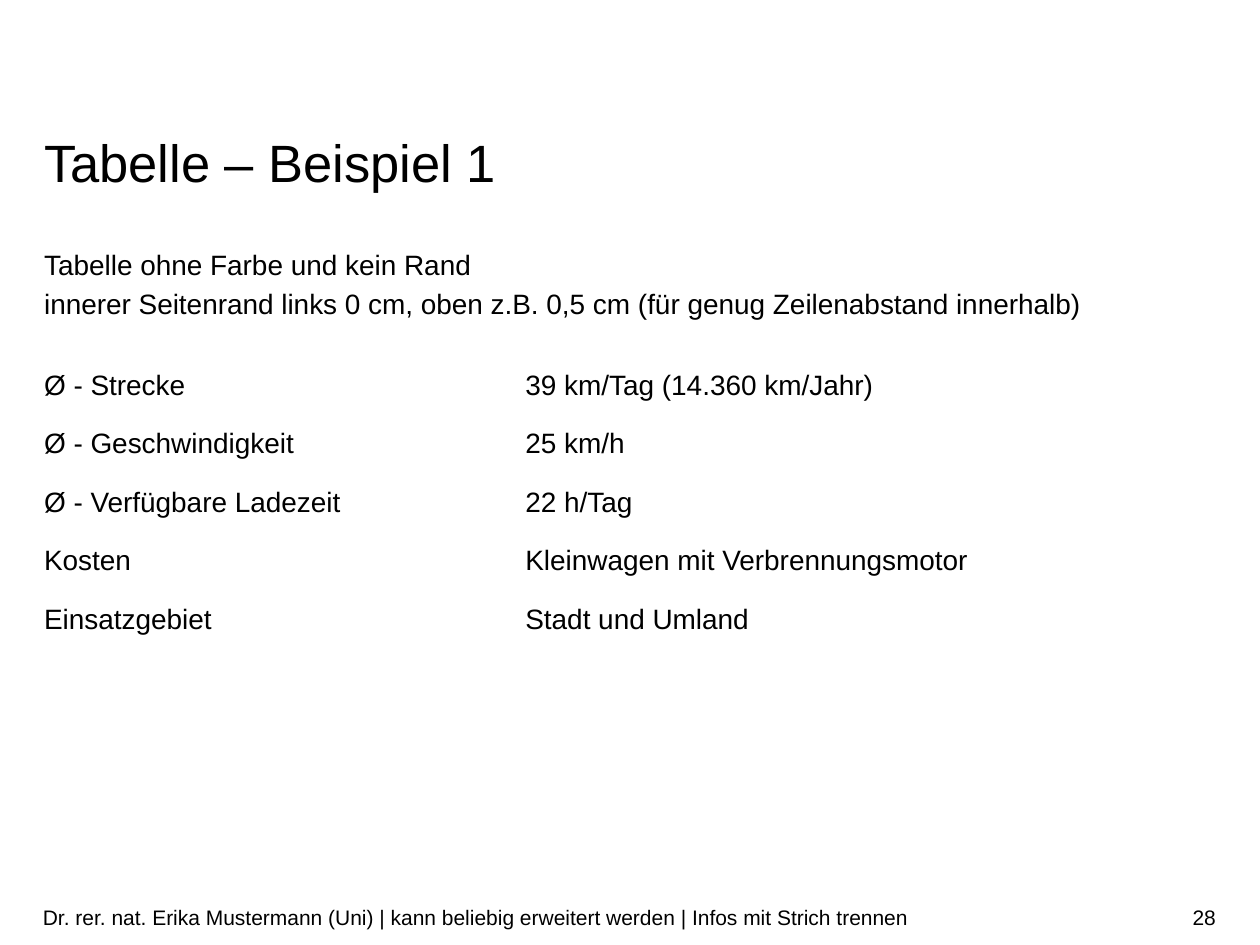
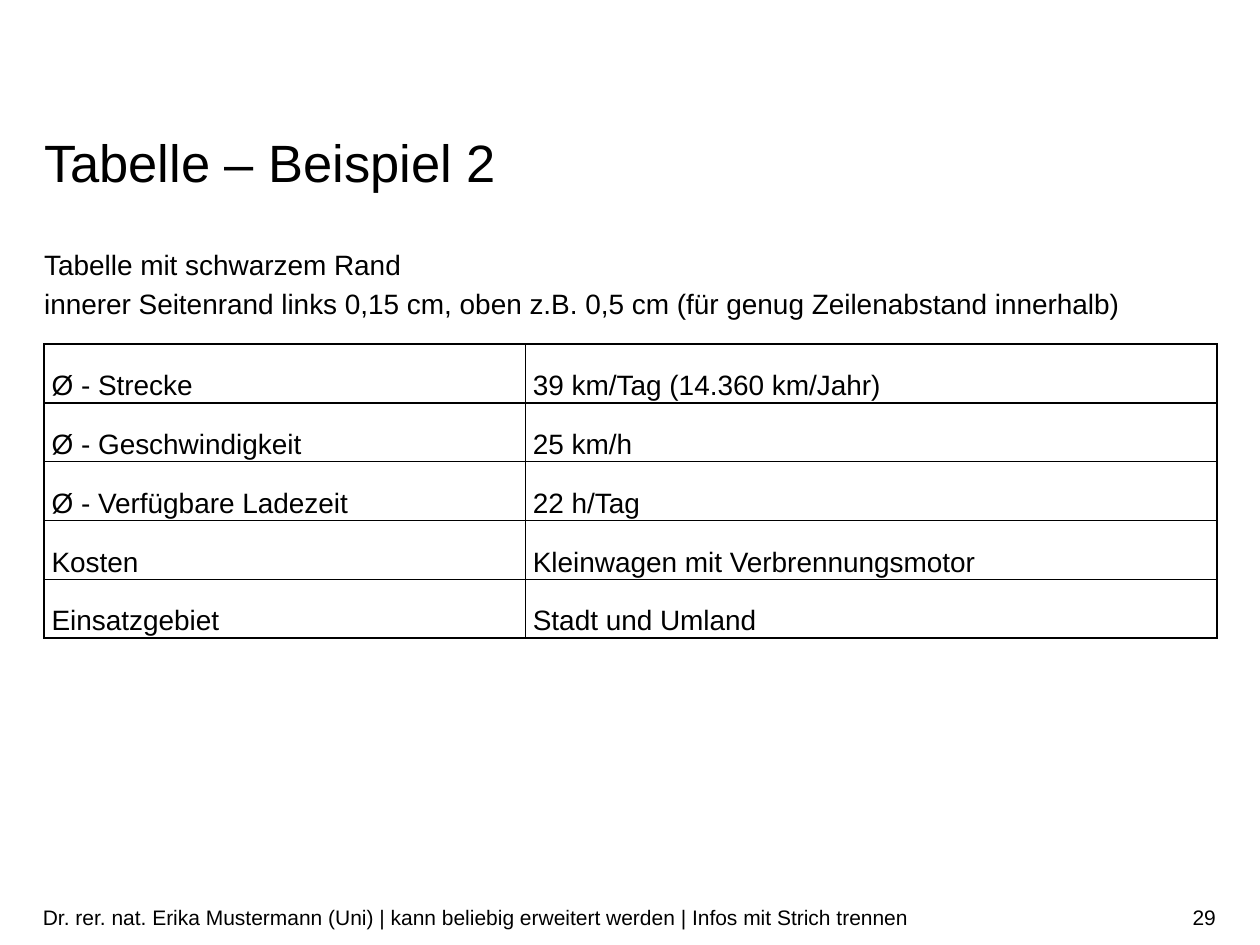
from lxml.etree import SubElement
from pptx import Presentation
from pptx.dml.color import RGBColor
from pptx.enum.text import MSO_ANCHOR as Anchor, PP_ALIGN as Align
from pptx.oxml.ns import qn
from pptx.util import Inches, Pt

BLACK = RGBColor(0, 0, 0)
FONT = "Arial"
LEFT = 0.35
WIDTH = 9.31
NO_GRID_STYLE = "{2D5ABB26-0587-4C30-8999-92F81FD0307C}"
FOOTER = ("Dr. rer. nat. Erika Mustermann (Uni) | kann beliebig erweitert werden"
          " | Infos mit Strich trennen")
VEHICLE_DATA = [
    ("Ø - Strecke", "39 km/Tag (14.360 km/Jahr)"),
    ("Ø - Geschwindigkeit", "25 km/h"),
    ("Ø - Verfügbare Ladezeit", "22 h/Tag"),
    ("Kosten", "Kleinwagen mit Verbrennungsmotor"),
    ("Einsatzgebiet", "Stadt und Umland"),
]
EXAMPLES = [
    ("Tabelle – Beispiel 1",
     "Tabelle ohne Farbe und kein Rand\n"
     "innerer Seitenrand links 0 cm, oben z.B. 0,5 cm (für genug Zeilenabstand innerhalb)",
     0, False),
    ("Tabelle – Beispiel 2",
     "Tabelle mit schwarzem Rand\n"
     "innerer Seitenrand links 0,15 cm, oben z.B. 0,5 cm (für genug Zeilenabstand innerhalb)",
     0.06, True),
]


def write_text(frame, text, size=16, color=BLACK, align=Align.LEFT, spacing=None):
    frame.text = text
    for paragraph in frame.paragraphs:
        paragraph.alignment = align
        if spacing:
            paragraph.line_spacing = spacing
        for run in paragraph.runs:
            run.font.name = FONT
            run.font.size = Pt(size)
            run.font.color.rgb = color


class Deck:
    def __init__(self):
        self.presentation = Presentation()
        self.presentation.slide_width = Inches(10)
        self.presentation.slide_height = Inches(7.5)
        self.slide = None

    def new_slide(self):
        self.slide = self.presentation.slides.add_slide(self.presentation.slide_layouts[6])

    def text(self, text, left, top, width, height, anchor=Anchor.TOP, inset=0, **style):
        box = self.slide.shapes.add_textbox(
            Inches(left), Inches(top), Inches(width), Inches(height))
        frame = box.text_frame
        frame.word_wrap = True
        frame.vertical_anchor = anchor
        frame.margin_left = frame.margin_right = 0
        frame.margin_top = frame.margin_bottom = Inches(inset)
        write_text(frame, text, **style)

    def title(self, text):
        self.text(text, LEFT, 1.09, WIDTH, 0.45, size=30, spacing=Pt(32))

    def body(self, text):
        self.text(text, LEFT, 1.93, WIDTH, 0.78, spacing=1.14)

    def footer(self, number):
        line = dict(top=7.08, height=0.4, anchor=Anchor.MIDDLE, inset=0.05, size=12)
        self.text(str(number), left=7.41, width=2.24, align=Align.RIGHT, **line)
        self.text(FOOTER, left=0.34, width=7.07, **line)

    def border(self, cell):
        properties = cell._tc.get_or_add_tcPr()
        for side in ("lnL", "lnR", "lnT", "lnB"):
            line = SubElement(properties, qn(f"a:{side}"), w=str(Pt(1)))
            fill = SubElement(line, qn("a:solidFill"))
            SubElement(fill, qn("a:srgbClr"), val=str(BLACK))

    def table(self, rows, indent, bordered):
        table = self.slide.shapes.add_table(
            len(rows), 2, Inches(LEFT), Inches(2.73), Inches(WIDTH), Inches(2.32)).table
        table.first_row = table.horz_banding = False
        table._tbl.tblPr.find(qn("a:tableStyleId")).text = NO_GRID_STYLE
        for column, width in zip(table.columns, (3.82, 5.49)):
            column.width = Inches(width)
        for row, values in zip(table.rows, rows):
            for cell, value in zip(row.cells, values):
                cell.margin_left = Inches(indent)
                cell.margin_top = Inches(0.2)
                cell.margin_right = cell.margin_bottom = 0
                cell.vertical_anchor = Anchor.MIDDLE
                if bordered:
                    self.border(cell)
                cell.fill.background()
                write_text(cell.text_frame, value)


def main():
    deck = Deck()
    for number, (title, description, indent, bordered) in enumerate(EXAMPLES, 28):
        deck.new_slide()
        deck.table(VEHICLE_DATA, indent, bordered)
        deck.footer(number)
        deck.body(description)
        deck.title(title)
    deck.presentation.save("out.pptx")


if __name__ == "__main__":
    main()
